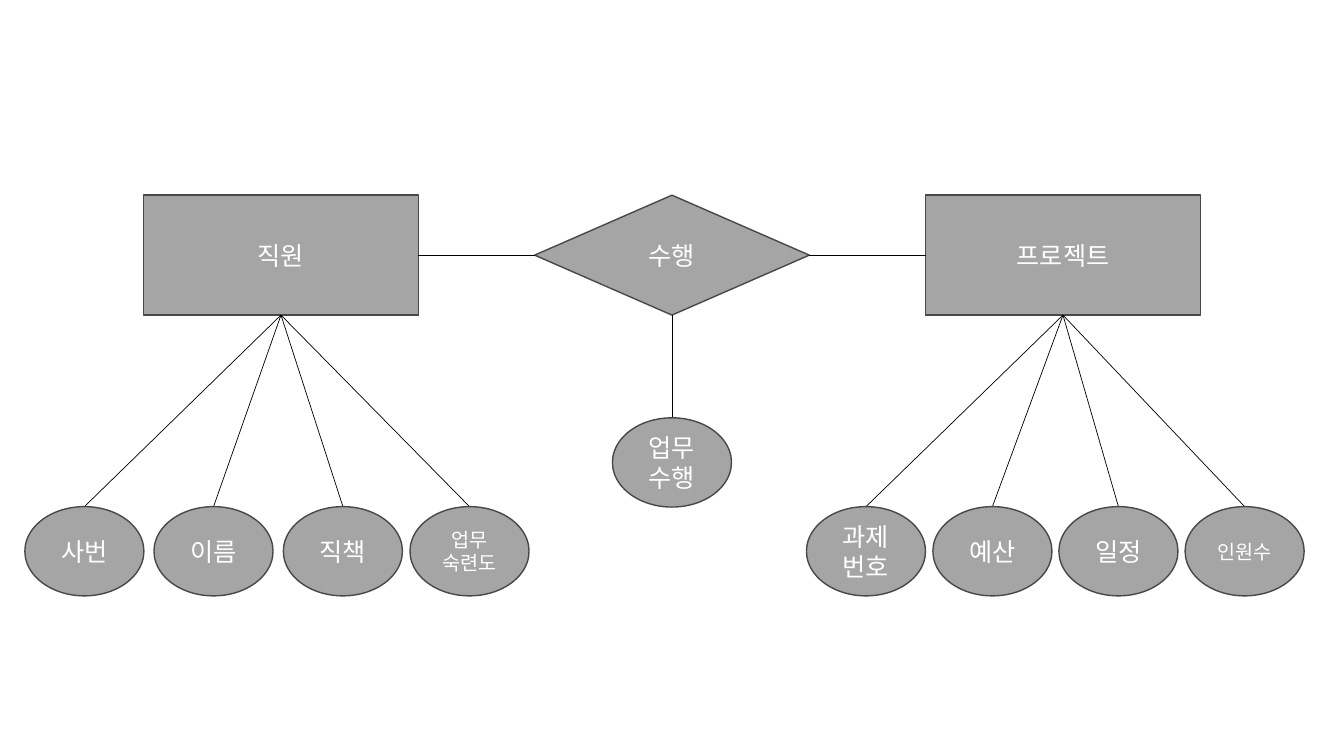
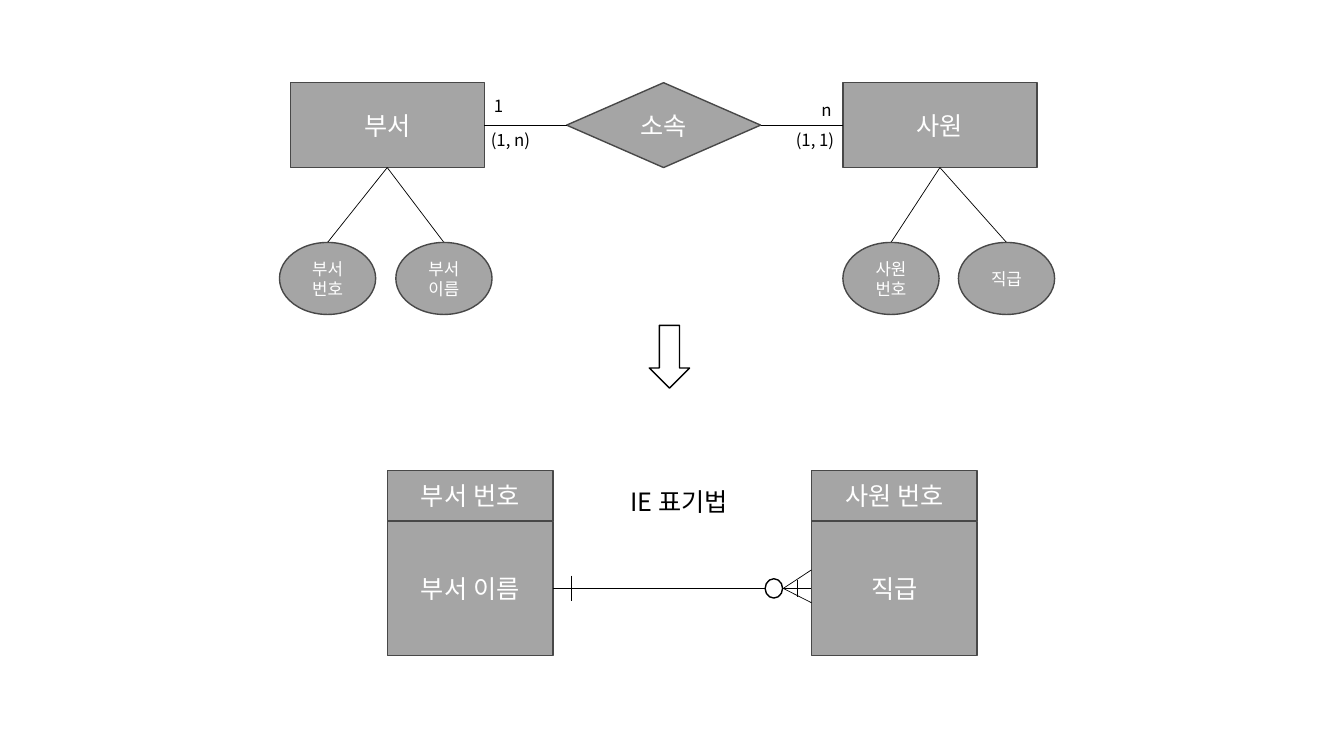
from lxml import etree
from pptx import Presentation
from pptx.dml.color import RGBColor
from pptx.enum.shapes import MSO_CONNECTOR, MSO_SHAPE
from pptx.enum.text import MSO_ANCHOR, PP_ALIGN
from pptx.oxml.ns import qn
from pptx.util import Inches, Pt

RECT, DIAMOND = MSO_SHAPE.RECTANGLE, MSO_SHAPE.DIAMOND
OVAL, ARROW = MSO_SHAPE.OVAL, MSO_SHAPE.DOWN_ARROW
STRAIGHT = MSO_CONNECTOR.STRAIGHT
CENTER, MIDDLE = PP_ALIGN.CENTER, MSO_ANCHOR.MIDDLE

# Shared style
FONT = "Noto Sans CJK KR"
GREY, EDGE, WHITE, BLACK = "A5A5A5", "484848", "FFFFFF", "000000"
color = RGBColor.from_string

prs = Presentation()
prs.slide_width, prs.slide_height = Inches(13.333), Inches(7.5)
blank = prs.slide_layouts[6]

# Square grid of 64 columns by 36 rows
COL, ROW = prs.slide_width / 64, prs.slide_height / 36


def node(slide, kind, cx, cy, w, h, text="", size=18, fill=GREY, edge=EDGE, ink=WHITE):
    """Draw a shape around its centre; without a kind, a plain label."""
    box = [int(v) for v in ((cx - w / 2) * COL, (cy - h / 2) * ROW, w * COL, h * ROW)]
    if kind is None:
        shape = slide.shapes.add_textbox(*box)
    else:
        shape = slide.shapes.add_shape(kind, *box)
        shape.shadow.inherit = False
        shape.fill.solid()
        shape.fill.fore_color.rgb = color(fill)
        shape.line.color.rgb = color(edge)
        shape.line.width = Pt(1)
    if text:
        frame = shape.text_frame
        frame.word_wrap = kind is not None
        frame.vertical_anchor = MIDDLE
        frame.paragraphs[0].alignment = CENTER
        run = frame.paragraphs[0].add_run()
        run.text = text
        run.font.size, run.font.name = Pt(size), FONT
        run.font.color.rgb = color(ink)
        etree.SubElement(run.font._element, qn("a:ea"), typeface=FONT)


def link(slide, x1, y1, x2, y2):
    """Draw a thin black line between two grid points."""
    line = slide.shapes.add_connector(
        STRAIGHT, int(x1 * COL), int(y1 * ROW), int(x2 * COL), int(y2 * ROW))
    line.line.color.rgb = color(BLACK)
    line.line.width = Pt(0.5)
    etree.SubElement(line._element.spPr, qn("a:effectLst"))


# Entity-relationship diagrams: entities as name, [(attribute, column, size)]
diagrams = [
    dict(relation="수행", middle=32, step=18.62, row=12.15, box=(13.08, 5.71),
         attribute_row=26.25, oval=(5.67, 4.25),
         entities=[
             ("직원", [("사번", 4.02, 18), ("이름", 10.17, 18),
                     ("직책", 16.33, 18), ("업무 숙련도", 22.36, 14)]),
             ("프로젝트", [("과제번호", 41.24, 18), ("예산", 47.26, 18),
                       ("일정", 53.26, 18), ("인원수", 59.27, 14)])]),
    dict(relation="소속", middle=31.6, step=13.16, row=5.96, box=(9.24, 4.04),
         attribute_row=13.26, oval=(4.58, 3.43),
         entities=[
             ("부서", [("부서 번호", 15.6, 12), ("부서 이름", 21.14, 12)]),
             ("사원", [("사원 번호", 42.43, 12), ("직급", 47.93, 12)])]),
]

slides = []
for er in diagrams:
    slide = prs.slides.add_slide(blank)
    slides.append(slide)
    middle, row, (box_w, box_h) = er["middle"], er["row"], er["box"]
    oval_w, oval_h = er["oval"]
    node(slide, DIAMOND, middle, row, box_w, box_h, er["relation"])
    for side, (entity, attributes) in zip((-1, 1), er["entities"]):
        center = middle + side * er["step"]
        node(slide, RECT, center, row, box_w, box_h, entity)
        link(slide, middle + side * box_w / 2, row, center - side * box_w / 2, row)
        for attribute, column, size in attributes:
            link(slide, center, row + box_h / 2, column, er["attribute_row"] - oval_h / 2)
            node(slide, OVAL, column, er["attribute_row"], oval_w, oval_h, attribute, size)

work, department = slides

# Attribute of the relation on the first slide
link(work, 32, 15, 32, 19.9)
node(work, OVAL, 32, 22.02, 5.67, 4.25, "업무수행")

# Cardinalities and notation title
for text, column, row, w, h, size in [
        ("1", 23.74, 5.04, 1.4, 1.44, 12), ("(1, n)", 24.31, 6.67, 2.83, 1.44, 12),
        ("n", 39.36, 5.23, 1.44, 1.44, 12), ("(1, 1)", 38.81, 6.67, 2.83, 1.44, 12),
        ("IE 표기법", 32.33, 23.86, 6, 1.92, 18)]:
    node(department, None, column, row, w, h, text, size, ink=BLACK)

# Arrow from one notation to the other
node(department, ARROW, 31.88, 16.99, 1.92, 2.99, fill=WHITE, edge=BLACK)

# Tables in IE notation: key above, attribute below
TABLE_W, TOP, KEY_H, BODY_H = 7.89, 22.4, 2.42, 6.4
for column, key, attribute in [(22.39, "부서 번호", "부서 이름"), (42.59, "사원 번호", "직급")]:
    node(department, RECT, column, TOP + KEY_H / 2, TABLE_W, KEY_H, key)
    node(department, RECT, column, TOP + KEY_H + BODY_H / 2, TABLE_W, BODY_H, attribute)

# Relation line with its bars, crow's foot and circle
AXIS, LEFT, RIGHT, FOOT = TOP + KEY_H + BODY_H / 2, 26.33, 38.64, 37.3
link(department, LEFT, AXIS, RIGHT, AXIS)
for column, reach in [(27.22, 0.61), (37.97, 0.41)]:
    link(department, column, AXIS - reach, column, AXIS + reach)
for toe in (-0.88, 0.68):
    link(department, FOOT, AXIS, RIGHT, AXIS + toe)
node(department, OVAL, 36.85, AXIS, 0.83, 0.92, fill=WHITE, edge=BLACK)

prs.save("out.pptx")
